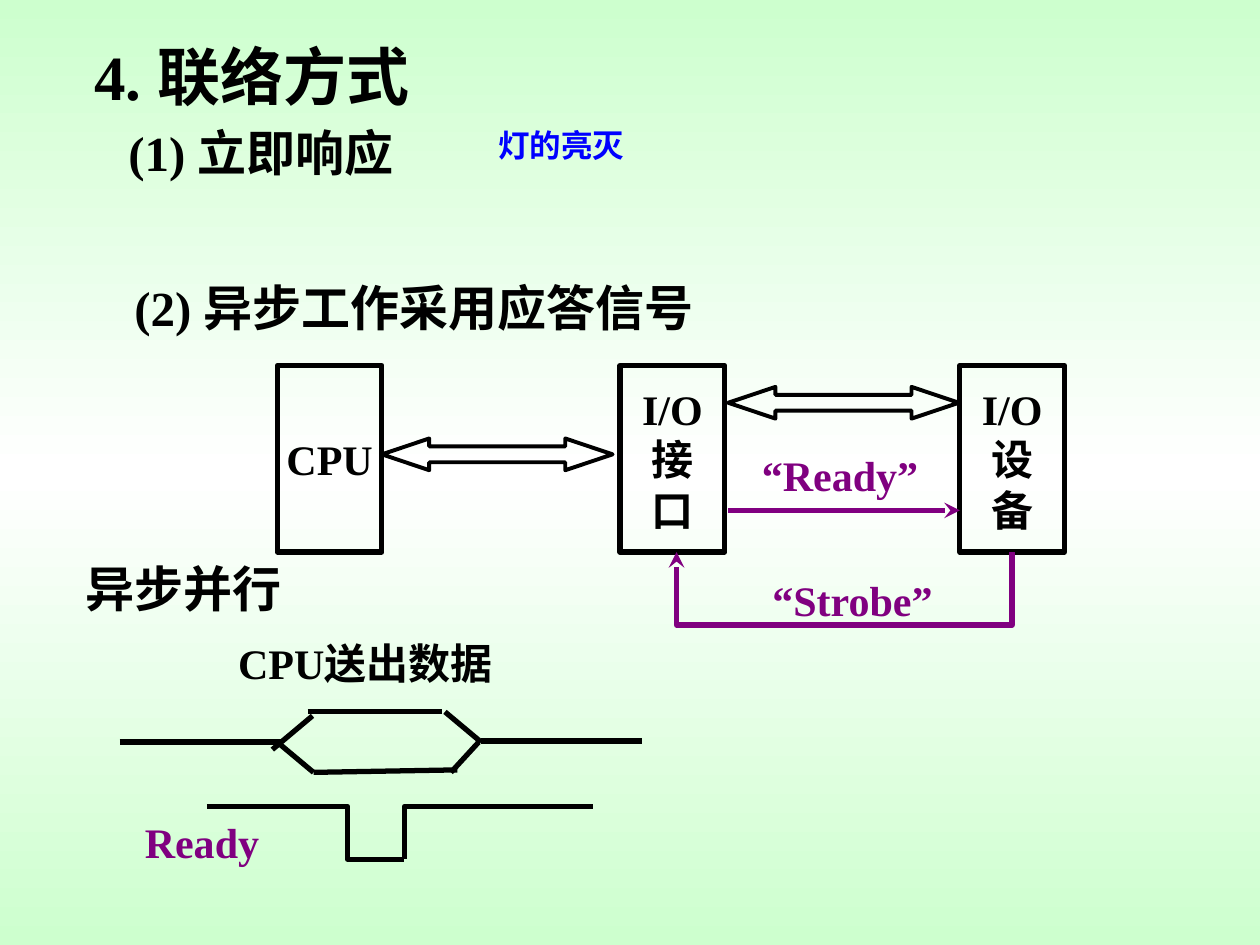
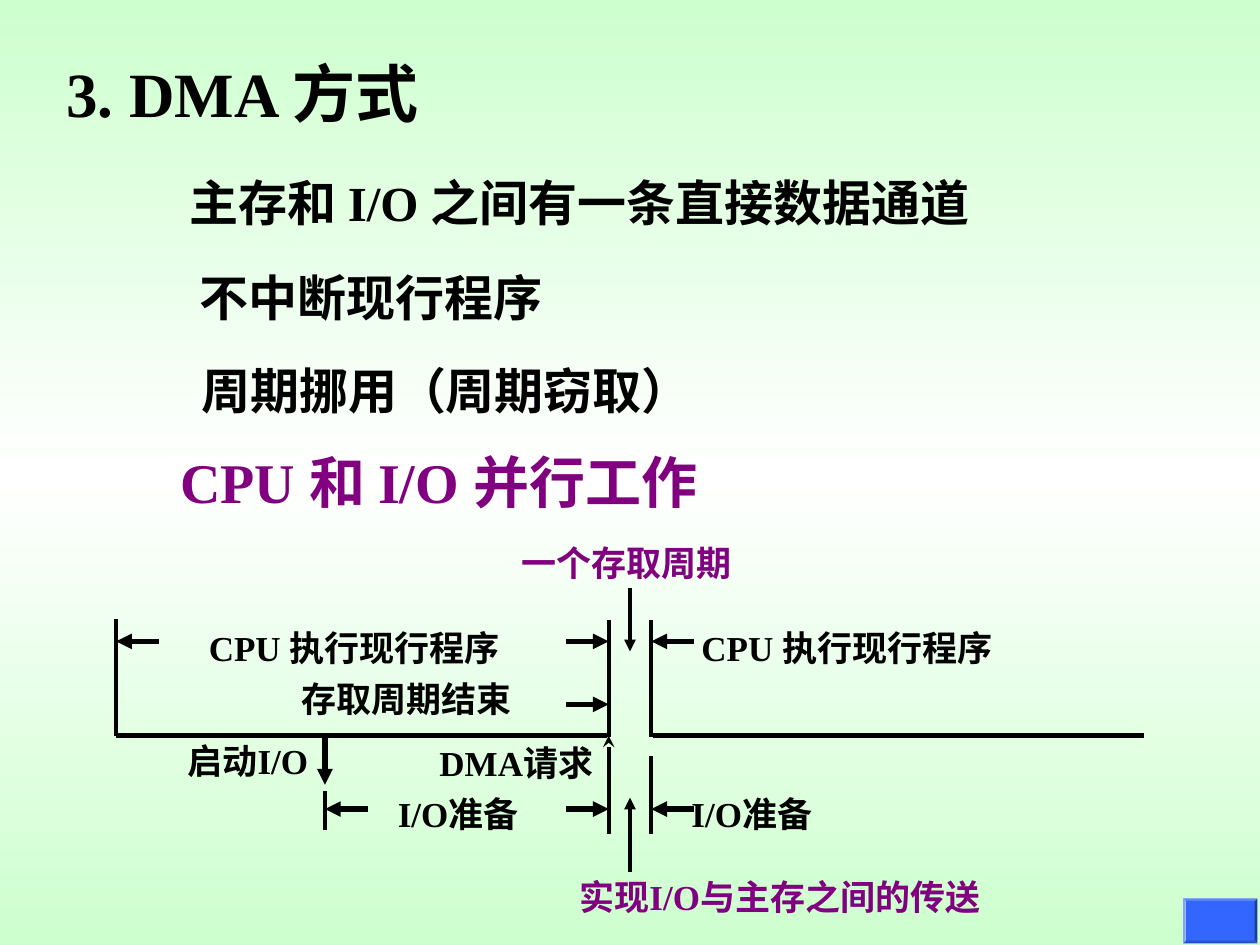
"""Build two slides on I/O handshaking and the DMA method."""
from copy import deepcopy
from itertools import pairwise

from lxml.etree import SubElement
from pptx import Presentation
from pptx.dml.color import RGBColor
from pptx.enum.shapes import MSO_CONNECTOR, MSO_SHAPE
from pptx.enum.text import PP_ALIGN
from pptx.oxml.ns import qn
from pptx.util import Cm, Pt

BLACK = RGBColor(0x00, 0x00, 0x00)
PURPLE = RGBColor(0x80, 0x00, 0x80)
BLUE = RGBColor(0x00, 0x00, 0xFF)
BUTTON_BLUE = RGBColor(0x33, 0x66, 0xFF)
PALE_GREEN = RGBColor(0xCD, 0xFF, 0xCE)
WHITE = RGBColor(0xFF, 0xFF, 0xFF)
LATIN, CHINESE = "Times New Roman", "Noto Sans CJK SC"
THICK, THIN = 3, 2.25

HANDSHAKE_LABELS = [
    ("4. 联络方式", 1.65, 0.64, 8.94, 36, BLACK, LATIN),
    ("(1) 立即响应", 2.34, 2.34, 7.82, 28, BLACK, LATIN),
    ("(2) 异步工作采用应答信号", 2.46, 5.46, 13.28, 28, BLACK, LATIN),
    ("“Ready”", 15.11, 8.94, 3.66, 24, PURPLE, LATIN),
    ("“Strobe”", 15.32, 11.46, 3.76, 24, PURPLE, LATIN),
    ("异步并行", 1.47, 11.13, 4.45, 28, BLACK, LATIN),
    ("Ready", 2.67, 16.33, 2.82, 24, PURPLE, LATIN),
    ("CPU送出数据", 4.55, 12.73, 5.84, 24, BLACK, LATIN),
    ("灯的亮灭", 9.8, 2.41, 3.05, 18, BLUE, CHINESE),
]
UNITS = [(["CPU"], 5.59), (["I/O", "接", "口"], 12.5), (["I/O", "设", "备"], 19.35)]
UNIT_TOP, UNIT_WIDTH, UNIT_HEIGHT = 7.37, 2.11, 3.76
BUSES = [(7.7, 8.84), (14.68, 7.8)]
READY_SIGNAL = [(14.68, 10.29), (19.35, 10.29)]
STROBE_SIGNAL = [(20.4, 11.13), (20.4, 12.6), (13.64, 12.6), (13.64, 11.13)]
READY_WAVE = [
    [(4.17, 16.26), (7.01, 16.26), (7.01, 17.32), (8.15, 17.32)],
    [(8.15, 17.32), (8.15, 16.26), (11.96, 16.26)],
]
DATA_WAVE = [
    [(2.41, 14.96), (5.69, 14.96)],
    [(9.7, 14.94), (12.95, 14.94)],
    [(5.59, 14.96), (6.32, 15.57)],
    [(8.97, 14.35), (9.7, 14.96)],
    [(5.49, 15.11), (6.3, 14.43)],
    [(9.09, 15.57), (9.65, 14.96)],
    [(6.2, 14.35), (8.92, 14.35)],
    [(6.32, 15.57), (9.22, 15.52)],
]

DMA_LABELS = [
    ("3. DMA 方式", 1.09, 0.97, 7.98, 36, BLACK, LATIN),
    ("主存和 I/O 之间有一条直接数据通道", 3.58, 3.35, 16.69, 28, BLACK, LATIN),
    ("不中断现行程序", 3.78, 5.26, 7.42, 28, BLACK, LATIN),
    ("周期挪用（周期窃取）", 3.81, 7.14, 10.36, 28, BLACK, LATIN),
    ("CPU 和 I/O 并行工作", 3.38, 8.89, 11.73, 32, PURPLE, LATIN),
    ("一个存取周期", 10.26, 10.8, 4.75, 20, PURPLE, LATIN),
    ("CPU 执行现行程序", 3.96, 12.5, 6.73, 20, BLACK, LATIN),
    ("CPU 执行现行程序", 13.89, 12.5, 6.73, 20, BLACK, LATIN),
    ("存取周期结束", 5.82, 13.54, 4.75, 20, BLACK, LATIN),
    ("启动I/O", 3.53, 14.78, 3.1, 20, BLACK, LATIN),
    ("DMA请求", 8.61, 14.83, 3.78, 20, BLACK, LATIN),
    ("I/O准备", 7.77, 15.85, 3.1, 20, BLACK, LATIN),
    ("I/O准备", 13.69, 15.85, 3.1, 20, BLACK, LATIN),
    ("实现I/O与主存之间的传送", 11.43, 17.53, 9.09, 20, PURPLE, LATIN),
]
RUN_START, IO_START, CYCLE_START, CYCLE_MIDDLE, CYCLE_END = 2.34, 6.55, 12.27, 12.7, 13.13
CPU_ROW, CYCLE_ROW, TIME_AXIS, IO_ROW = 12.93, 14.2, 14.83, 16.31
AXIS_SPANS = [(RUN_START, 12.24), (13.16, 23.06)]
BOUNDARIES = [
    (RUN_START, 12.47, TIME_AXIS, None),
    (CYCLE_START, 12.5, 14.86, None),
    (CYCLE_END, 12.5, 14.86, None),
    (CYCLE_START, 16.81, TIME_AXIS, "stealth"),
    (CYCLE_END, 15.24, 16.81, None),
    (IO_START, 15.95, 16.74, None),
    (CYCLE_MIDDLE, 11.86, 13.13, "triangle"),
    (CYCLE_MIDDLE, 17.58, 16.08, "triangle"),
]
SPAN_ENDS = [
    (RUN_START, CPU_ROW, 1),
    (CYCLE_START, CPU_ROW, -1),
    (CYCLE_END, CPU_ROW, 1),
    (CYCLE_START, CYCLE_ROW, -1),
    (IO_START, IO_ROW, 1),
    (CYCLE_START, IO_ROW, -1),
    (CYCLE_END, IO_ROW, 1),
]
STUB = 0.86
END_BUTTON = (23.85, 18.11, 1.5, 0.91)


def cm(*values):
    return [Cm(value) for value in values]


def write(frame, lines, size, color, face, align):
    layout = {"word_wrap": True, "margin_right": 0}
    for name, value in layout.items():
        setattr(frame, name, value)
    for index, line in enumerate(lines):
        paragraph = frame.add_paragraph() if index else frame.paragraphs[0]
        paragraph.alignment = align
        run = paragraph.add_run()
        run.text = line
        for name, value in {"size": Pt(size), "bold": True, "name": face}.items():
            setattr(run.font, name, value)
        run.font.color.rgb = color
        SubElement(run.font._element, qn("a:ea"), typeface=CHINESE)


def add_labels(slide, labels):
    for words, left, top, width, size, color, face in labels:
        height = 0.25 + size * 0.0423
        box = slide.shapes.add_textbox(*cm(left, top, width, height))
        write(box.text_frame, [words], size, color, face, PP_ALIGN.LEFT)


def draw_stroke(shape, color, weight, arrow=None):
    shape.line.color.rgb = color
    shape.line.width = Pt(weight)
    if arrow:
        SubElement(shape.line._get_or_add_ln(), qn("a:tailEnd"), type=arrow)


def add_line(slide, start, end, color=BLACK, weight=THICK, arrow=None):
    line = slide.shapes.add_connector(MSO_CONNECTOR.STRAIGHT, *cm(*start, *end))
    draw_stroke(line, color, weight, arrow)
    SubElement(line._element.spPr, qn("a:effectLst"))


def add_signal(slide, points, color=BLACK, arrow=None):
    start, *rest = [tuple(cm(*point)) for point in points]
    builder = slide.shapes.build_freeform(*start)
    builder.add_line_segments(rest, close=False)
    signal = builder.convert_to_shape()
    signal.shadow.inherit = False
    signal.fill.background()
    draw_stroke(signal, color, THICK, arrow)


def add_outline(slide, kind, place, weight):
    outline = slide.shapes.add_shape(kind, *cm(*place))
    outline.shadow.inherit = False
    outline.fill.background()
    draw_stroke(outline, BLACK, weight)
    return outline


def set_background(master):
    fill = master.background.fill
    fill.gradient()
    fill.gradient_angle = 270
    stop_list = master.element.find(".//" + qn("a:gsLst"))
    stop_list.append(deepcopy(stop_list[-1]))
    stops = [(0, PALE_GREEN), (0.5, WHITE), (1, PALE_GREEN)]
    for stop, (position, color) in zip(fill.gradient_stops, stops):
        stop.position = position
        stop.color.rgb = color


def build_handshake(slide):
    for lines, left in UNITS:
        place = (left, UNIT_TOP, UNIT_WIDTH, UNIT_HEIGHT)
        unit = add_outline(slide, MSO_SHAPE.RECTANGLE, place, THICK)
        unit.text_frame.margin_left = 0
        write(unit.text_frame, lines, 24, BLACK, LATIN, PP_ALIGN.CENTER)
    for left, top in BUSES:
        bus = add_outline(slide, MSO_SHAPE.LEFT_RIGHT_ARROW, (left, top, 4.65, 0.64), THIN)
        bus.adjustments[0], bus.adjustments[1] = 0.5, 1.49
    add_line(slide, *READY_SIGNAL, color=PURPLE, arrow="stealth")
    add_signal(slide, STROBE_SIGNAL, PURPLE, "stealth")
    for points in READY_WAVE:
        add_signal(slide, points)
    for points in DATA_WAVE:
        add_line(slide, *points)
    add_labels(slide, HANDSHAKE_LABELS)


def build_dma(slide):
    for left, right in AXIS_SPANS:
        add_line(slide, (left, TIME_AXIS), (right, TIME_AXIS))
    for x, start, end, arrow in BOUNDARIES:
        add_line(slide, (x, start), (x, end), weight=THIN, arrow=arrow)
    for x, row, side in SPAN_ENDS:
        add_line(slide, (x + side * STUB, row), (x, row), arrow="triangle")
    add_line(slide, (IO_START, 14.78), (IO_START, 15.82), arrow="triangle")
    add_labels(slide, DMA_LABELS)
    button = slide.shapes.add_shape(MSO_SHAPE.ACTION_BUTTON_END, *cm(*END_BUTTON))
    bevel = slide.shapes.add_shape(MSO_SHAPE.BEVEL, *cm(*END_BUTTON))
    bevel.adjustments[0] = 0.06
    for shape in (bevel, button):
        shape.shadow.inherit = False
        shape.fill.solid()
        shape.fill.fore_color.rgb = BUTTON_BLUE
        shape.line.fill.background()
    bevel._element.addnext(button._element)
    button.fill.background()


def main():
    deck = Presentation()
    deck.slide_width, deck.slide_height = cm(25.4, 19.05)
    set_background(deck.slide_master)
    for build in (build_handshake, build_dma):
        build(deck.slides.add_slide(deck.slide_layouts[6]))
    deck.save("out.pptx")


if __name__ == "__main__":
    main()
